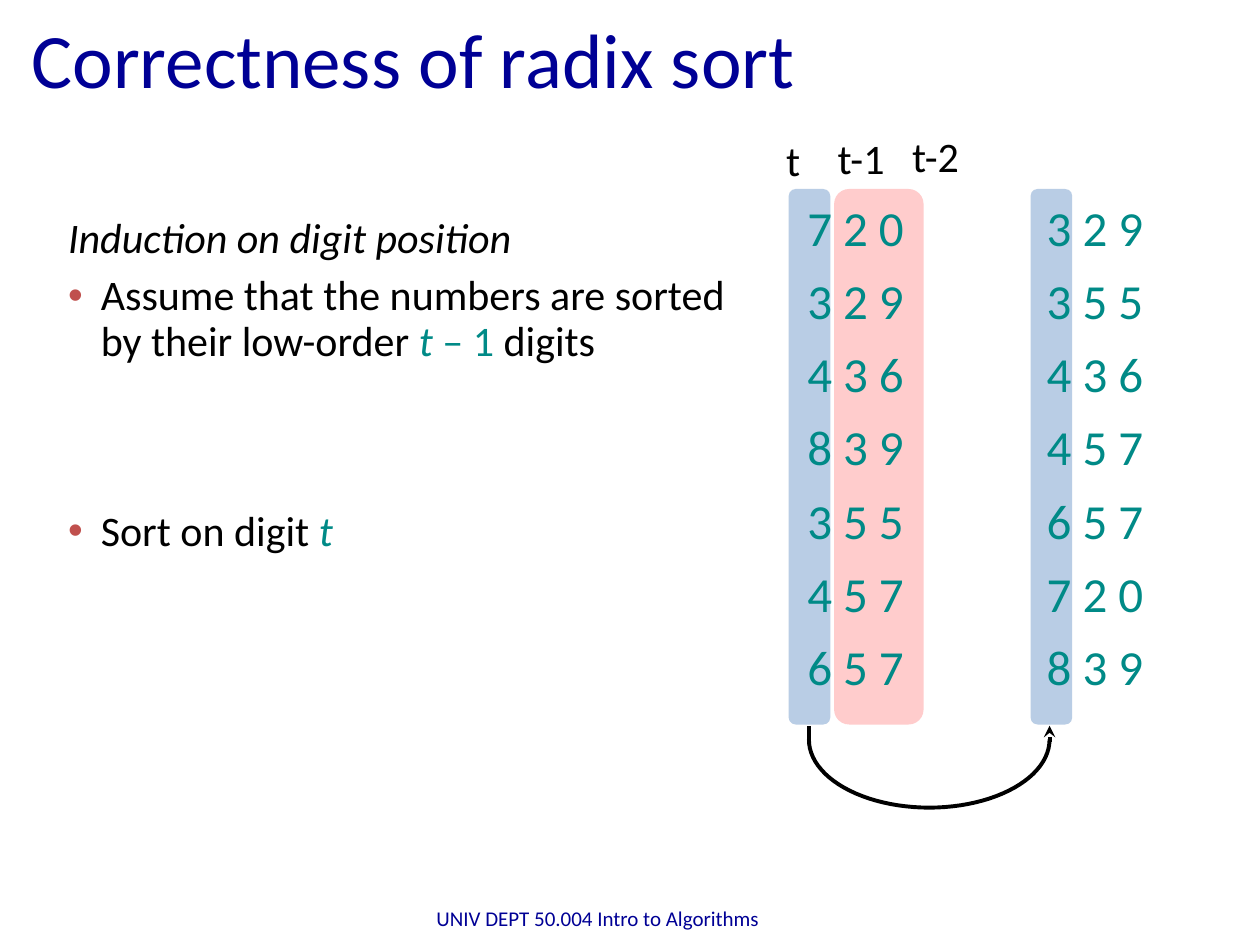
import math
from lxml import etree
from pptx import Presentation
from pptx.dml.color import RGBColor
from pptx.enum.shapes import MSO_CONNECTOR, MSO_SHAPE
from pptx.enum.text import MSO_ANCHOR, MSO_AUTO_SIZE, PP_ALIGN
from pptx.oxml.ns import qn
from pptx.util import Inches, Pt

STRAIGHT = MSO_CONNECTOR.STRAIGHT
ROUNDED = MSO_SHAPE.ROUNDED_RECTANGLE
TOP, MIDDLE = MSO_ANCHOR.TOP, MSO_ANCHOR.MIDDLE
LEFT, CENTER = PP_ALIGN.LEFT, PP_ALIGN.CENTER
FIXED = MSO_AUTO_SIZE.NONE

COLORS = {
    "navy": "000095",
    "teal": "008A87",
    "black": "000000",
    "bullet": "C0504D",
    "current": "B9CDE5",
    "sorted": "FFCCCC",
}
COLUMNS, ROWS = 100, 75


class SlideBuilder:
    font = "Calibri"
    line_width = Pt(2.25)
    indent = Inches(0.26)

    def __init__(self, deck, layout):
        self.slide = deck.slides.add_slide(deck.slide_layouts[layout])
        self.column = deck.slide_width / COLUMNS
        self.row = deck.slide_height / ROWS

    def point(self, x, y):
        return round(x * self.column), round(y * self.row)

    def box(self, x, y, width, height):
        return *self.point(x, y), *self.point(width, height)

    def add_run(self, paragraph, text, size, color, italic=False):
        run = paragraph.add_run()
        run.text = text
        run.font.name = self.font
        run.font.size = Pt(size)
        run.font.italic = italic
        run.font.color.rgb = RGBColor.from_string(COLORS[color])

    def place(self, placeholder, area, anchor):
        (placeholder.left, placeholder.top,
         placeholder.width, placeholder.height) = self.box(*area)
        frame = placeholder.text_frame
        frame.auto_size = FIXED
        frame.vertical_anchor = anchor
        return frame

    def title(self, text, area):
        frame = self.place(self.slide.shapes.title, area, MIDDLE)
        frame.paragraphs[0].alignment = LEFT
        self.add_run(frame.paragraphs[0], text, 44, "navy")

    def points(self, index, area, items):
        frame = self.place(self.slide.placeholders[index], area, TOP)
        for number, (bulleted, runs) in enumerate(items):
            paragraph = frame.add_paragraph() if number else frame.paragraphs[0]
            paragraph.line_spacing = 0.9
            paragraph.space_before = Pt(7.2 if number else 0)
            self.bullet(paragraph, bulleted)
            for text, color, italic in runs:
                self.add_run(paragraph, text, 24, color, italic)

    def bullet(self, paragraph, shown):
        properties = paragraph._p.get_or_add_pPr()
        properties.set("marL", str(self.indent))
        properties.set("indent", str(-self.indent))
        if not shown:
            etree.SubElement(properties, qn("a:buNone"))
            return
        tint = etree.SubElement(properties, qn("a:buClr"))
        etree.SubElement(tint, qn("a:srgbClr"), val=COLORS["bullet"])
        etree.SubElement(properties, qn("a:buChar"), char="•")

    def label(self, text, area, size, color, align=LEFT, wrap=False, anchor=TOP):
        frame = self.slide.shapes.add_textbox(*self.box(*area)).text_frame
        frame.word_wrap = wrap
        frame.vertical_anchor = anchor
        frame.paragraphs[0].alignment = align
        self.add_run(frame.paragraphs[0], text, size, color)

    def band(self, area, color):
        band = self.slide.shapes.add_shape(ROUNDED, *self.box(*area))
        band.shadow.inherit = False
        band.fill.solid()
        band.fill.fore_color.rgb = RGBColor.from_string(COLORS[color])
        band.line.fill.background()

    def stroke(self, line):
        line.color.rgb = RGBColor.from_string(COLORS["black"])
        line.width = self.line_width

    def stem(self, x, start, end, arrow=False):
        stem = self.slide.shapes.add_connector(
            STRAIGHT, *self.point(x, start), *self.point(x, end))
        self.stroke(stem.line)
        etree.SubElement(stem._element.spPr, qn("a:effectLst"))
        if arrow:
            etree.SubElement(stem.line._get_or_add_ln(), qn("a:tailEnd"), type="stealth")

    def bowl(self, left, right, top, depth, steps=48):
        radius = (right - left) / 2
        angles = [math.pi * step / steps for step in range(steps + 1)]
        outline = [self.point(left + radius * (1 + math.cos(angle)),
                              top + depth * math.sin(angle)) for angle in angles]
        builder = self.slide.shapes.build_freeform(*outline[0])
        builder.add_line_segments(outline[1:], close=False)
        bowl = builder.convert_to_shape()
        bowl.shadow.inherit = False
        bowl.fill.background()
        self.stroke(bowl.line)


def main():
    deck = Presentation()
    deck.slide_width, deck.slide_height = Inches(10), Inches(7.5)
    page = SlideBuilder(deck, 3)

    page.title("Correctness of radix sort", (1.5, 0.3, 90, 8.5))
    page.points(1, (4.4, 16.7, 55.7, 13.2), [
        (False, [("Induction on digit position", "black", True)]),
        (True, [("Assume that the numbers are sorted by their low-order ", "black", False),
                ("t ", "teal", True),
                ("– 1 ", "teal", False),
                ("digits", "black", False)]),
    ])
    page.points(2, (4.4, 40, 55.7, 4.7), [
        (True, [("Sort on digit ", "black", False), ("t", "teal", True)]),
    ])

    for left, width, color in ((62.6, 3.3, "current"), (81.8, 3.3, "current"),
                               (66.2, 7.1, "sorted")):
        page.band((left, 15, width, 42.5), color)

    before = ["7 2 0", "3 2 9", "4 3 6", "8 3 9", "3 5 5", "4 5 7", "6 5 7"]
    for left, numbers in ((63, before), (82, sorted(before))):
        for position, number in enumerate(numbers):
            page.label(number, (left, 15.2 + 5.8 * position, 9.8, 5.7),
                       28, "teal", CENTER)

    source, target = 64.2, 83.3
    page.stem(target, 58.9, 57.6, arrow=True)
    page.bowl(source, target, 58.7, 5.4)
    page.stem(source, 58.9, 57.6)

    for digit, left, top, width in (("t", 61.4, 10.2, 3.1), ("t-1", 65.5, 10, 5.9),
                                    ("t-2", 71.4, 9.9, 5.9)):
        page.label(digit, (left, top, width, 5), 24, "black")

    page.label("UNIV DEPT 50.004 Intro to Algorithms", (31.6, 70.9, 31.7, 4),
               12, "navy", CENTER, wrap=True, anchor=MIDDLE)

    deck.save("out.pptx")


if __name__ == "__main__":
    main()
